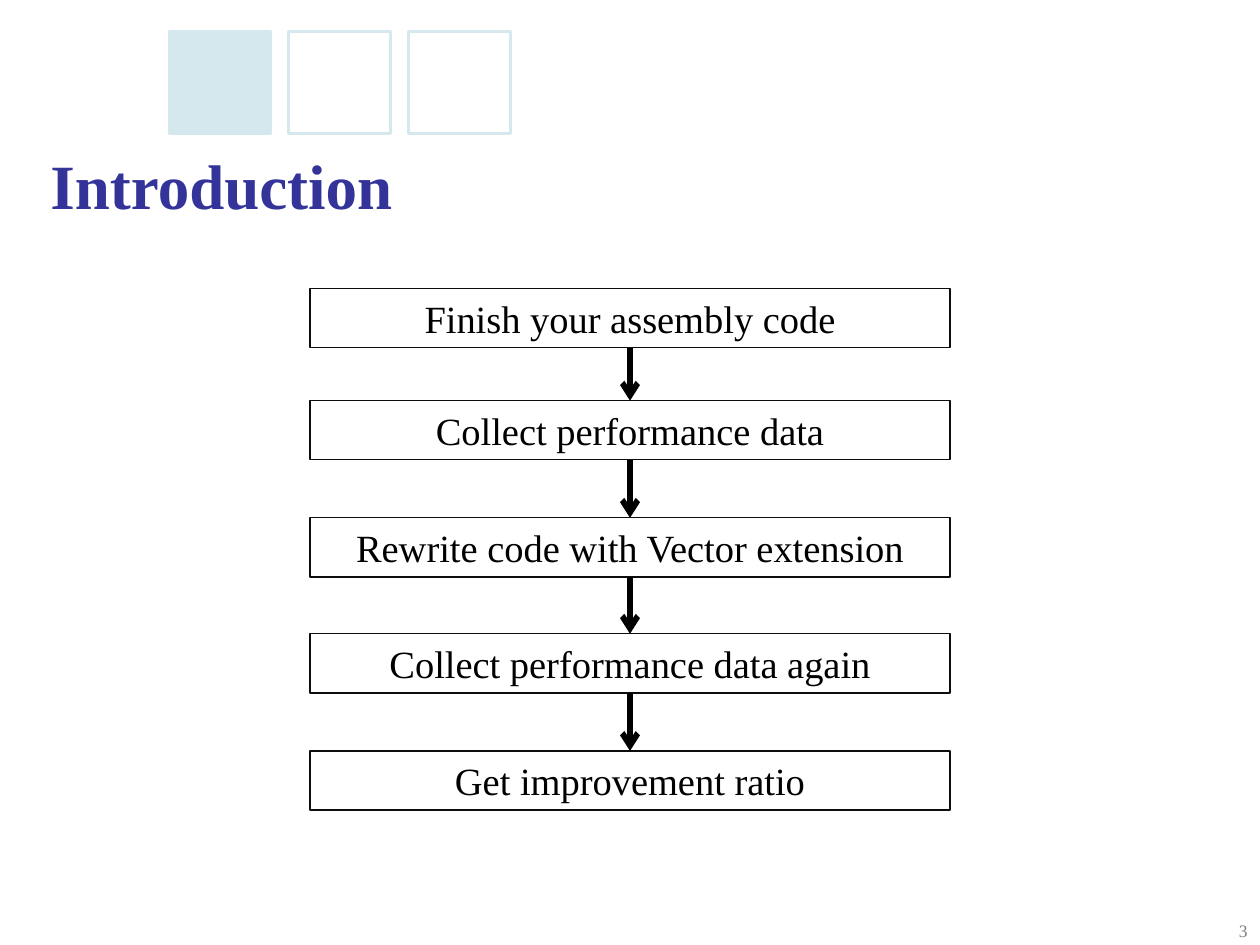
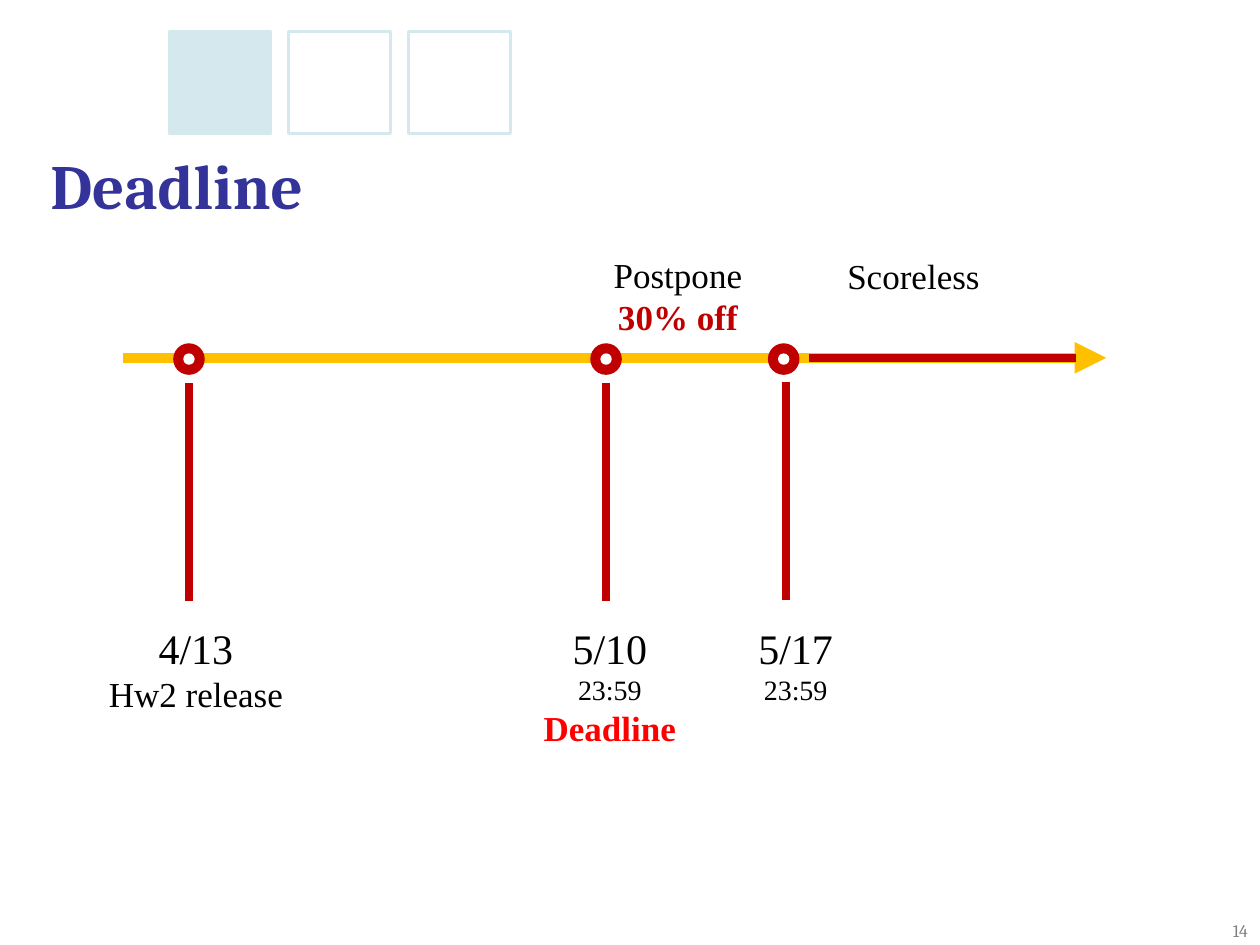
from lxml import etree
from pptx import Presentation
from pptx.dml.color import RGBColor
from pptx.enum.shapes import MSO_CONNECTOR, MSO_SHAPE
from pptx.enum.text import MSO_ANCHOR, MSO_AUTO_SIZE, PP_ALIGN
from pptx.oxml.ns import qn
from pptx.util import Inches, Pt

BLACK = RGBColor(0x00, 0x00, 0x00)
WHITE = RGBColor(0xFF, 0xFF, 0xFF)
NAVY = RGBColor(0x33, 0x33, 0x99)
PALE_BLUE = RGBColor(0xD5, 0xE8, 0xEE)
GREY = RGBColor(0x80, 0x80, 0x80)
BOX_LINE = RGBColor(0x0D, 0x0D, 0x0D)
GOLD = RGBColor(0xFF, 0xC0, 0x00)
DARK_RED = RGBColor(0xC0, 0x00, 0x00)
RED = RGBColor(0xFF, 0x00, 0x00)

SERIF = "Times New Roman"
CAMBRIA = "Cambria"
TITLE_ONLY = 5


class Deck:
    """Holds the presentation, its style and the slide being filled."""

    def __init__(self):
        self.prs = Presentation()
        self.prs.slide_width = Inches(10)
        self.prs.slide_height = Inches(7.5)
        self.s = None

    def add_slide(self, title, number, font):
        """Start a slide with the corner squares, title and page number."""
        self.s = self.prs.slides.add_slide(self.prs.slide_layouts[TITLE_ONLY])
        for i, fill in enumerate((PALE_BLUE, None, None)):
            self.shape(MSO_SHAPE.RECTANGLE, 1.34 + 0.95 * i, 0.25, 0.81, 0.81,
                       fill, PALE_BLUE, 1.5)
        self.title(title, font)
        self.text(9.49, 7.25, 0.51, 0.25, [(number, 10, GREY, False)],
                  PP_ALIGN.RIGHT, font)

    def title(self, text, font):
        sp = self.s.shapes.title
        sp.left, sp.top = Inches(0.4), Inches(1.07)
        sp.width, sp.height = Inches(9.07), Inches(0.86)
        tf = sp.text_frame
        tf.margin_left = tf.margin_right = tf.margin_top = tf.margin_bottom = 0
        tf.vertical_anchor = MSO_ANCHOR.MIDDLE
        tf.auto_size = MSO_AUTO_SIZE.NONE
        self.fill_text(tf, [(text, 36, NAVY, True)], PP_ALIGN.LEFT, font)
        tf.paragraphs[0].line_spacing = 0.9

    def fill_text(self, tf, lines, align=PP_ALIGN.CENTER, font=SERIF):
        """Fill a text frame with (text, size, colour, bold) lines."""
        tf.text = "\n".join(line[0] for line in lines)
        for p, (_, size, color, bold) in zip(tf.paragraphs, lines):
            p.alignment = align
            for r in p.runs:
                r.font.name = font
                r.font.size = Pt(size)
                r.font.bold = bold
                r.font.color.rgb = color

    def text(self, x, y, w, h, lines, align=PP_ALIGN.CENTER, font=SERIF):
        sp = self.s.shapes.add_textbox(Inches(x), Inches(y), Inches(w), Inches(h))
        sp.text_frame.word_wrap = True
        self.fill_text(sp.text_frame, lines, align, font)

    def shape(self, kind, x, y, w, h, fill, line, weight=0.75):
        sp = self.s.shapes.add_shape(kind, Inches(x), Inches(y), Inches(w), Inches(h))
        sp.shadow.inherit = False
        if fill is None:
            sp.fill.background()
        else:
            sp.fill.solid()
            sp.fill.fore_color.rgb = fill
        sp.line.color.rgb = line
        sp.line.width = Pt(weight)
        return sp

    def step(self, y, text):
        sp = self.shape(MSO_SHAPE.RECTANGLE, 2.46, y, 5.08, 0.47, None, BOX_LINE)
        self.fill_text(sp.text_frame, [(text, 22, BLACK, False)])
        return sp

    def line(self, x1, y1, x2, y2, color, weight, arrow=None):
        cn = self.s.shapes.add_connector(MSO_CONNECTOR.STRAIGHT, Inches(x1),
                                         Inches(y1), Inches(x2), Inches(y2))
        cn.line.color.rgb = color
        cn.line.width = Pt(weight)
        sp_pr = cn._element.spPr
        if arrow:
            etree.SubElement(sp_pr.find(qn("a:ln")), qn("a:tailEnd"), type=arrow)
        etree.SubElement(sp_pr, qn("a:effectLst"))
        return cn

    def marker(self, x, y):
        """Draw a ring centred on the timeline."""
        for size, color in ((0.24, DARK_RED), (0.08, WHITE)):
            self.shape(MSO_SHAPE.FLOWCHART_CONNECTOR, x - size / 2, y - size / 2,
                       size, size, color, color)


def build_introduction(deck):
    deck.add_slide("Introduction", "3", SERIF)
    steps = [
        (2.29, "Finish your assembly code"),
        (3.18, "Collect performance data"),
        (4.11, "Rewrite code with Vector extension"),
        (5.03, "Collect performance data again"),
        (5.96, "Get improvement ratio"),
    ]
    boxes = [deck.step(y, text) for y, text in steps]
    for upper, lower in zip(boxes, boxes[1:]):
        arrow = deck.line(5, 2.76, 5, 3.18, BLACK, 3.25, "arrow")
        arrow.begin_connect(upper, 2)
        arrow.end_connect(lower, 0)


def build_deadline(deck):
    deck.add_slide("Deadline", "14", CAMBRIA)
    axis_y = 2.84
    deck.line(0.98, axis_y, 8.78, axis_y, GOLD, 6, "triangle")

    # marker x, stem x, stem top, label left, label width, label height, lines
    dates = [
        (1.5, 1.5, 3.04, 0.59, 1.93, 0.84,
         [("4/13", 24, BLACK, False), ("Hw2 release", 20, BLACK, False)]),
        (4.81, 4.81, 3.04, 4.2, 1.28, 1.11,
         [("5/10", 24, BLACK, False), ("23:59", 16, BLACK, False),
          ("Deadline", 20, RED, True)]),
        (6.22, 6.24, 3.03, 5.85, 0.93, 0.77,
         [("5/17", 24, BLACK, False), ("23:59", 16, BLACK, False)]),
    ]
    for marker_x, stem_x, stem_y, left, width, height, lines in dates:
        deck.marker(marker_x, axis_y + 0.01)
        deck.text(left, 4.89, width, height, lines)
        deck.line(stem_x, stem_y, stem_x, stem_y + 1.73, DARK_RED, 4.5)

    deck.line(6.42, axis_y, 8.54, axis_y, DARK_RED, 4.5)
    deck.text(4.69, 1.96, 1.38, 0.77,
              [("Postpone", 20, BLACK, False), ("30% off", 20, DARK_RED, True)])
    deck.text(6.56, 1.97, 1.38, 0.44, [("Scoreless", 20, BLACK, False)])


def main():
    deck = Deck()
    build_introduction(deck)
    build_deadline(deck)
    deck.prs.save("out.pptx")


if __name__ == "__main__":
    main()
